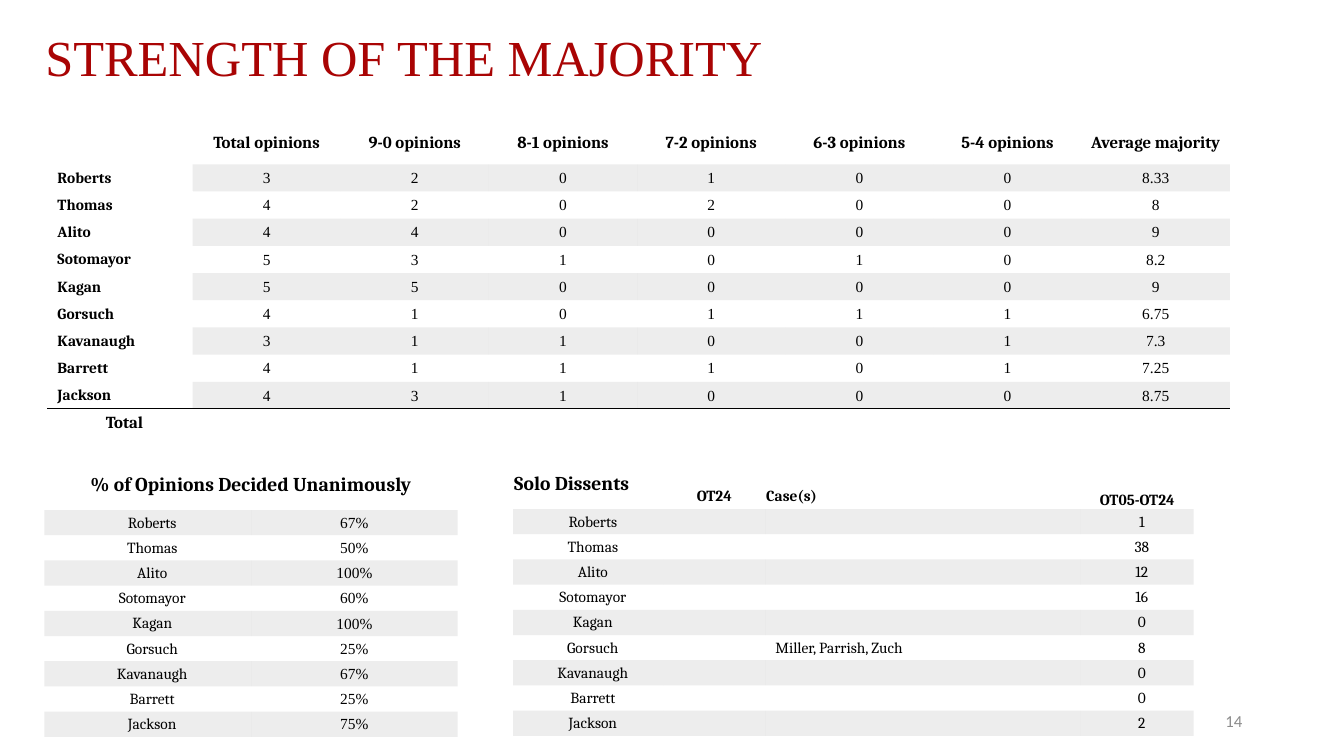
from lxml.etree import SubElement
from pptx import Presentation
from pptx.dml.color import RGBColor
from pptx.enum.text import MSO_ANCHOR, MSO_AUTO_SIZE, PP_ALIGN
from pptx.oxml import parse_xml
from pptx.oxml.ns import nsdecls, qn
from pptx.util import Inches, Pt

TITLE = "STRENGTH OF THE MAJORITY"
PAGE_NUMBER = "14"

MAJORITY_HEADERS = ["", "Total opinions", "9-0 opinions", "8-1 opinions", "7-2 opinions",
                    "6-3 opinions", "5-4 opinions", "Average majority"]
MAJORITY = {
    "Roberts": ["3", "2", "0", "1", "0", "0", "8.33"],
    "Thomas": ["4", "2", "0", "2", "0", "0", "8"],
    "Alito": ["4", "4", "0", "0", "0", "0", "9"],
    "Sotomayor": ["5", "3", "1", "0", "1", "0", "8.2"],
    "Kagan": ["5", "5", "0", "0", "0", "0", "9"],
    "Gorsuch": ["4", "1", "0", "1", "1", "1", "6.75"],
    "Kavanaugh": ["3", "1", "1", "0", "0", "1", "7.3"],
    "Barrett": ["4", "1", "1", "1", "0", "1", "7.25"],
    "Jackson": ["4", "3", "1", "0", "0", "0", "8.75"],
}
TOTAL = ["Total"] + [""] * 7

UNANIMOUS_HEADERS = ["% of Opinions Decided Unanimously", ""]
UNANIMOUS = ["67%", "50%", "100%", "60%", "100%", "25%", "67%", "25%", "75%"]

DISSENT_HEADERS = ["Solo Dissents", "OT24", "Case(s)", "OT05-OT24"]
DISSENT_CASES = {"Gorsuch": "Miller, Parrish, Zuch"}
DISSENTS = ["1", "38", "12", "16", "0", "8", "0", "0", "2"]

THEME = {
    "serif": "Cambria", "roman": "Times New Roman", "sans": "Calibri",
    "title": "A90404", "ink": "000000", "muted": "8C8C8C", "band": "A5A5A5", "paper": "FFFFFF",
    "title_size": 36, "heading_size": 14, "header_size": 12, "body_size": 11, "page_size": 12,
}
BAND_ALPHA = 20000
RULE_WIDTH = Pt(0.75)
NO_STYLE_NO_GRID = "{2D5ABB26-0587-4C30-8999-92F81FD0307C}"

LEFT, CENTER, RIGHT = PP_ALIGN.LEFT, PP_ALIGN.CENTER, PP_ALIGN.RIGHT
MIDDLE, BOTTOM = MSO_ANCHOR.MIDDLE, MSO_ANCHOR.BOTTOM
TIGHT, INDENT = 0.01, 0.1

# font, size, bold, alignment, anchor, left inset, bottom inset
STYLES = {
    "header": ("serif", "header_size", True, CENTER, MIDDLE, TIGHT, 0),
    "total": ("serif", "header_size", True, CENTER, MIDDLE, INDENT, 0),
    "justice": ("serif", "body_size", True, LEFT, MIDDLE, INDENT, 0),
    "number": ("roman", "body_size", False, CENTER, MIDDLE, TIGHT, 0),
    "heading": ("serif", "heading_size", True, CENTER, MIDDLE, TIGHT, 0),
    "side heading": ("serif", "heading_size", True, LEFT, MIDDLE, TIGHT, 0),
    "term header": ("serif", "body_size", True, CENTER, BOTTOM, TIGHT, 0.04),
    "case header": ("serif", "body_size", True, LEFT, BOTTOM, TIGHT, 0.04),
    "span header": ("serif", "body_size", True, CENTER, BOTTOM, TIGHT, 0),
    "entry": ("serif", "body_size", False, CENTER, MIDDLE, INDENT, 0),
    "case": ("serif", "body_size", False, LEFT, MIDDLE, INDENT, 0),
}


def write(para, text, font, size, color, bold=False):
    span = para.add_run()
    span.text = text
    values = {"name": THEME[font], "size": Pt(THEME[size]), "bold": bold}
    for name, value in values.items():
        setattr(span.font, name, value)
    span.font.color.rgb = RGBColor.from_string(THEME[color])


def fill_cell(cell, text, style):
    font, size, bold, align, anchor, inset, bottom = STYLES[style]
    values = {"margin_left": Inches(inset), "margin_right": Inches(TIGHT),
              "margin_top": Inches(TIGHT), "margin_bottom": Inches(bottom),
              "vertical_anchor": anchor}
    for name, value in values.items():
        setattr(cell, name, value)
    para = cell.text_frame.paragraphs[0]
    para.alignment = align
    if text:
        write(para, text, font, size, "ink", bold)
    else:  # keeps an empty line from stretching its row
        SubElement(para._p, qn("a:endParaRPr")).set("sz", str(THEME[size] * 100))


def shade(cell, color, alpha=None):
    cell.fill.solid()
    cell.fill.fore_color.rgb = RGBColor.from_string(THEME[color])
    if alpha:
        tint = next(cell._tc.tcPr.iter(qn("a:srgbClr")))
        SubElement(tint, qn("a:alpha")).set("val", str(alpha))


def rule(cell, side):
    """Draw a thin line on one side ("lnT" or "lnB") of a cell."""
    cell._tc.get_or_add_tcPr().insert(0, parse_xml(
        f'<a:{side} {nsdecls("a")} w="{RULE_WIDTH}"><a:solidFill>'
        f'<a:srgbClr val="{THEME["ink"]}"/></a:solidFill></a:{side}>'))


def add_grid(page, left, top, widths, heights, rows, header_styles, body_styles, first_band=0):
    """Add a table whose odd rows are shaded from column first_band on."""
    frame = page.shapes.add_table(len(rows), len(widths), Inches(left), Inches(top),
                                  Inches(sum(widths)), Inches(sum(heights)))
    next(frame.element.iter(qn("a:tableStyleId"))).text = NO_STYLE_NO_GRID
    table = frame.table
    table.first_row = table.horz_banding = False
    for column, width in zip(table.columns, widths):
        column.width = Inches(width)
    for line, height in zip(table.rows, heights):
        line.height = Inches(height)
    for r, texts in enumerate(rows):
        styles = body_styles if r else header_styles
        for c, (text, style) in enumerate(zip(texts, styles)):
            cell = table.cell(r, c)
            fill_cell(cell, text, "total" if text == "Total" else style)
            if c < first_band:
                shade(cell, "paper")
            elif r % 2:
                shade(cell, "band", BAND_ALPHA)
            else:
                cell.fill.background()
    return table


def add_majority(page):
    rows = [MAJORITY_HEADERS] + [[name, *values] for name, values in MAJORITY.items()] + [TOTAL]
    name_width, count = 1.44, len(MAJORITY_HEADERS) - 1
    widths = [name_width] + [(11.73 - name_width) / count] * count
    table = add_grid(page, 0.47, 1.2, widths, [0.43] + [0.27] * (len(rows) - 1), rows,
                     ["header"] * len(widths), ["justice"] + ["number"] * count, first_band=1)
    last = len(rows) - 1
    for c in range(len(widths)):
        rule(table.cell(last - 1, c), "lnB")
        rule(table.cell(last, c), "lnT")


def add_lower_tables(page):
    heights = [0.5] + [0.25] * len(MAJORITY)
    unanimous = [UNANIMOUS_HEADERS] + [list(pair) for pair in zip(MAJORITY, UNANIMOUS)]
    table = add_grid(page, 0.44, 4.56, [2.05] * 2, heights, unanimous,
                     ["heading"] * 2, ["entry", "number"])
    table.cell(0, 0).merge(table.cell(0, 1))
    dissents = [DISSENT_HEADERS] + [[name, "", DISSENT_CASES.get(name, ""), count]
                                    for name, count in zip(MAJORITY, DISSENTS)]
    add_grid(page, 5.09, 4.55, [1.49, 1.01, 3.13, 1.12], heights, dissents,
             ["side heading", "term header", "case header", "span header"],
             ["entry", "entry", "case", "entry"])


def set_text(box, at, text, font, size, color, align):
    for name, value in zip(("left", "top", "width", "height"), at):
        setattr(box, name, Inches(value))
    frame = box.text_frame
    values = {"word_wrap": True, "auto_size": MSO_AUTO_SIZE.NONE, "vertical_anchor": MIDDLE}
    for name, value in values.items():
        setattr(frame, name, value)
    para = frame.paragraphs[0]
    para.alignment = align
    write(para, text, font, size, color)
    return para


def main():
    deck = Presentation()
    deck.slide_width, deck.slide_height = Inches(13.33), Inches(7.5)
    page = deck.slides.add_slide(deck.slide_layouts[5])
    title = set_text(page.shapes.title, (0.35, 0.14, 11.5, 0.91), TITLE,
                     "roman", "title_size", "title", LEFT)
    title.line_spacing = 0.9
    add_majority(page)
    add_lower_tables(page)
    set_text(page.shapes.add_textbox(0, 0, 0, 0), (9.42, 6.95, 3, 0.4), PAGE_NUMBER,
             "sans", "page_size", "muted", RIGHT)
    deck.save("out.pptx")


if __name__ == "__main__":
    main()
